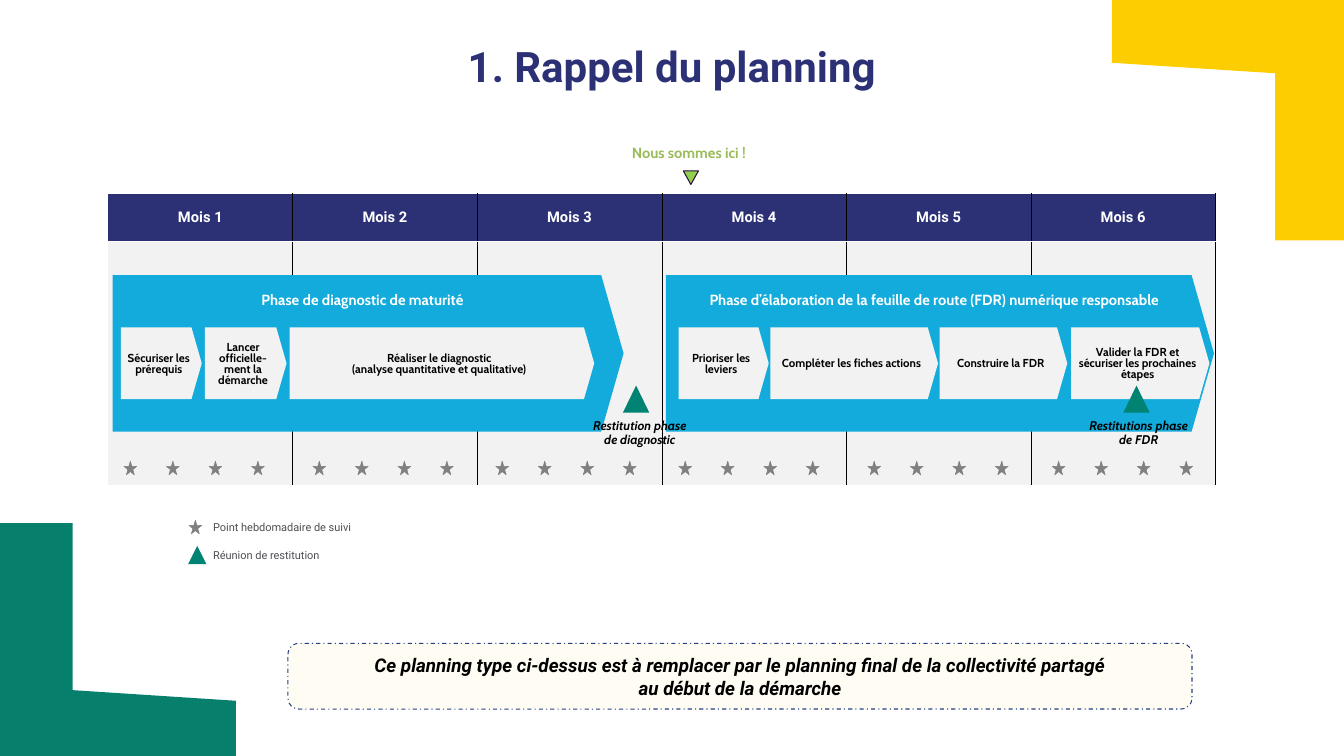
from lxml import etree
from pptx import Presentation
from pptx.dml.color import RGBColor
from pptx.enum.dml import MSO_LINE
from pptx.enum.shapes import MSO_SHAPE
from pptx.enum.text import MSO_ANCHOR, PP_ALIGN
from pptx.oxml.ns import qn
from pptx.util import Pt

LEFT, CENTER = PP_ALIGN.LEFT, PP_ALIGN.CENTER
TOP, MIDDLE = MSO_ANCHOR.TOP, MSO_ANCHOR.MIDDLE
STAR, TRIANGLE = MSO_SHAPE.STAR_5_POINT, MSO_SHAPE.ISOSCELES_TRIANGLE
ARROW, ROUNDED = MSO_SHAPE.PENTAGON, MSO_SHAPE.ROUNDED_RECTANGLE
DASH_DOT = MSO_LINE.DASH_DOT

COLORS = {
    "yellow": "FCCD00", "green": "06806C", "navy": "2C3176", "cream": "FFFDF3",
    "note_line": "274084", "black": "000000", "white": "FFFFFF", "pale": "F2F2F2",
    "gray": "808080", "text_gray": "4D4F53", "blue": "12ABDB", "teal": "008373",
    "lime": "92D050", "plum": "2A0A3D", "olive": "9BBB59",
}
FORMATS = {
    "title": ({"name": "Roboto", "size": Pt(40), "bold": True}, "navy"),
    "note": ({"name": "Roboto", "size": Pt(18), "bold": True, "italic": True}, "black"),
    "month": ({"name": "Roboto", "size": Pt(14), "bold": True}, "white"),
    "legend": ({"name": "Roboto", "size": Pt(10.5)}, "text_gray"),
    "phase": ({"name": "Cabin", "size": Pt(14), "bold": True}, "white"),
    "step": ({"name": "Cabin", "size": Pt(11), "bold": True}, "black"),
    "milestone": ({"name": "Cabin", "size": Pt(12), "bold": True, "italic": True}, "black"),
    "here": ({"name": "Cabin", "size": Pt(14), "bold": True}, "olive"),
}
DEFAULT_INSETS = (7.2, 3.6, 7.2, 3.6)
ARROW_INSETS = (4.3, 4.3, 4.3, 2.2)
NO_INSETS = (0, 0, 0, 0)


def rgb(color):
    return RGBColor.from_string(COLORS[color])


def write(frame, text, style, align=CENTER, anchor=TOP, insets=DEFAULT_INSETS, spacing=1.0):
    left, top, right, bottom = (Pt(value) for value in insets)
    layout = {"word_wrap": True, "vertical_anchor": anchor, "margin_left": left,
              "margin_top": top, "margin_right": right, "margin_bottom": bottom}
    for name, value in layout.items():
        setattr(frame, name, value)
    values, color = FORMATS[style]
    for index, line in enumerate(text.split("\n")):
        para = frame.add_paragraph() if index else frame.paragraphs[0]
        para.alignment = align
        para.line_spacing = spacing
        span = para.add_run()
        span.text = line
        for name, value in values.items():
            setattr(span.font, name, value)
        span.font.color.rgb = rgb(color)


def paint(shape, fill, line=None, width=0.5):
    shape.shadow.inherit = False
    shape.fill.solid()
    shape.fill.fore_color.rgb = rgb(fill)
    if line:
        shape.line.color.rgb = rgb(line)
        shape.line.width = Pt(width)
    else:
        shape.line.fill.background()


def add_shape(page, kind, box, fill, line=None, width=0.5):
    shape = page.shapes.add_shape(kind, *(Pt(value) for value in box))
    paint(shape, fill, line, width)
    return shape


def add_outline(page, box, points, fill, line=None, width=0.5):
    left, top = box[:2]
    corners = [(Pt(left + x), Pt(top + y)) for x, y in points]
    builder = page.shapes.build_freeform(*corners[0], scale=1.0)
    builder.add_line_segments(corners[1:], close=True)
    paint(builder.convert_to_shape(), fill, line, width)


def add_text(page, box, text, style, **layout):
    shape = page.shapes.add_textbox(*(Pt(value) for value in box))
    write(shape.text_frame, text, style, **layout)


def add_corners(page, box):
    left, top, width, height = box
    add_outline(page, (left + width - 221, top, 221, 229),
                [(221, 0), (0, 0), (0, 59.8), (155.5, 69.8), (155.5, 229), (221, 229)], "yellow")
    add_outline(page, (left, top + height - 221.8, 224.6, 221.8),
                [(69.1, 0), (0, 0), (0, 221.8), (224.6, 221.8), (224.6, 169.2), (69.1, 159.1)],
                "green")


def add_border(cell, side, color, width):
    line = etree.SubElement(cell._tc.get_or_add_tcPr(), qn(f"a:ln{side}"), w=str(int(Pt(width))))
    if color:
        fill = etree.SubElement(line, qn("a:solidFill"))
        etree.SubElement(fill, qn("a:srgbClr"), val=COLORS[color])
    else:
        etree.SubElement(line, qn("a:noFill"))


def add_calendar(page, box, months, row_heights):
    table = page.shapes.add_table(len(row_heights), months, *(Pt(value) for value in box)).table
    for column in table.columns:
        column.width = Pt(box[2] / months)
    for row_index, height in enumerate(row_heights):
        table.rows[row_index].height = Pt(height)
        for month in range(months):
            cell = table.cell(row_index, month)
            add_border(cell, "L", "black" if month else None, 0.5)
            add_border(cell, "R", "black", 0.5)
            add_border(cell, "T", "white", 1)
            add_border(cell, "B", "white", 1)
            cell.fill.solid()
            cell.fill.fore_color.rgb = rgb("pale" if row_index else "navy")
            cell.vertical_anchor = MIDDLE
            if row_index == 0:
                write(cell.text_frame, f"Mois {month + 1}", "month", insets=(0.7, 0.7, 0.7, 0))
                cell.vertical_anchor = MIDDLE
                cell.margin_left = cell.margin_right = cell.margin_top = Pt(0.7)
                cell.margin_bottom = Pt(0)


def add_arrow(page, box, fill, text, style, anchor, insets):
    arrow = add_shape(page, ARROW, box, fill)
    arrow.adjustments[0] = 0.143
    write(arrow.text_frame, text, style, anchor=anchor, insets=insets, spacing=0.8)


def add_phase(page, box, title, steps):
    left, top = box[:2]
    add_arrow(page, box, "blue", title, "phase", TOP, (4.3, 18, 4.3, 2.2))
    for offset, width, text in steps:
        add_arrow(page, (left + offset, top + 49.7, width, 68.4), "pale", text, "step",
                  MIDDLE, ARROW_INSETS)


def add_milestone(page, box, marker_offset, text):
    left, top = box[:2]
    add_shape(page, TRIANGLE, (left + marker_offset, top - 32.4, 25.2, 25.9), "teal")
    add_text(page, box, text, "milestone", insets=NO_INSETS, spacing=0.9)


def add_weekly_stars(page, box, month_starts):
    left, top, width, height = box
    for start in month_starts:
        for week in range(4):
            add_shape(page, STAR, (left + start + week * 40.5, top, 12.2, height), "gray", "gray")


def add_legend(page, box):
    left, top, width, height = box
    add_shape(page, STAR, (left + 0.7, top + 3.6, 12.2, 13), "gray", "gray")
    add_shape(page, TRIANGLE, (left, top + 28.1, 17.3, 17.3), "teal")
    for row, text in enumerate(("Point hebdomadaire de suivi", "Réunion de restitution")):
        add_text(page, (left + 16.6, top + row * 27.2, width - 16.6, 20.2), text, "legend",
                 align=LEFT)


def add_here_marker(page, box):
    left, top = box[:2]
    add_text(page, box, "Nous sommes ici !", "here", align=LEFT)
    add_outline(page, (left + 56.2, top + 29.5, 14.4, 13), [(14.4, 0), (7.2, 13), (0, 0)],
                "lime", "plum", 0.96)


def add_note(page, box):
    note = add_shape(page, ROUNDED, box, "cream", "note_line", 1)
    note.line.dash_style = DASH_DOT
    write(note.text_frame, "Ce planning type ci-dessus est à remplacer par le planning final "
          "de la collectivité partagé\nau début de la démarche", "note", anchor=MIDDLE)


def main():
    deck = Presentation()
    deck.slide_width, deck.slide_height = Pt(1280.16), Pt(720)
    page = deck.slides.add_slide(deck.slide_layouts[6])
    add_corners(page, (0, 0, 1280.16, 720))
    add_text(page, (78.5, 37.4, 1122.5, 49.7), "1. Rappel du planning", "title",
             insets=(0, 1.4, 0, 0))
    add_note(page, (274.3, 612.7, 861.1, 62.6))
    add_calendar(page, (103, 184.5, 1054.8, 277.5), 6, (45.2, 232.3))
    add_phase(page, (107.3, 262.1, 486.7, 149), "Phase de diagnostic de maturité", [
        (7.9, 77, "Sécuriser les prérequis"),
        (87.8, 77.8, "Lancer officielle-ment la démarche"),
        (168.5, 290.2, "Réaliser le diagnostic\n(analyse quantitative et qualitative)")])
    add_phase(page, (634.3, 262.1, 522, 149),
              "Phase d’élaboration de la feuille de route (FDR) numérique responsable", [
                  (12.2, 85.7, "Prioriser les leviers"),
                  (99.4, 159.8, "Compléter les fiches actions"),
                  (260.6, 121.7, "Construire la FDR"),
                  (385.9, 131.8, "Valider la FDR et sécuriser les prochaines étapes")])
    add_milestone(page, (543.6, 399.6, 131.8, 31.7), 49.7, "Restitution phase\nde diagnostic")
    add_milestone(page, (998.6, 399.6, 172.1, 31.7), 71.3, "Restitutions phase\nde FDR")
    add_weekly_stars(page, (118.1, 439.2, 1017.4, 13), (0, 180, 354.2, 528.5, 708.5, 884.2))
    add_legend(page, (179.3, 491.8, 189.4, 47.4))
    add_here_marker(page, (594.7, 133.2, 149.8, 24.5))
    deck.save("out.pptx")


if __name__ == "__main__":
    main()
